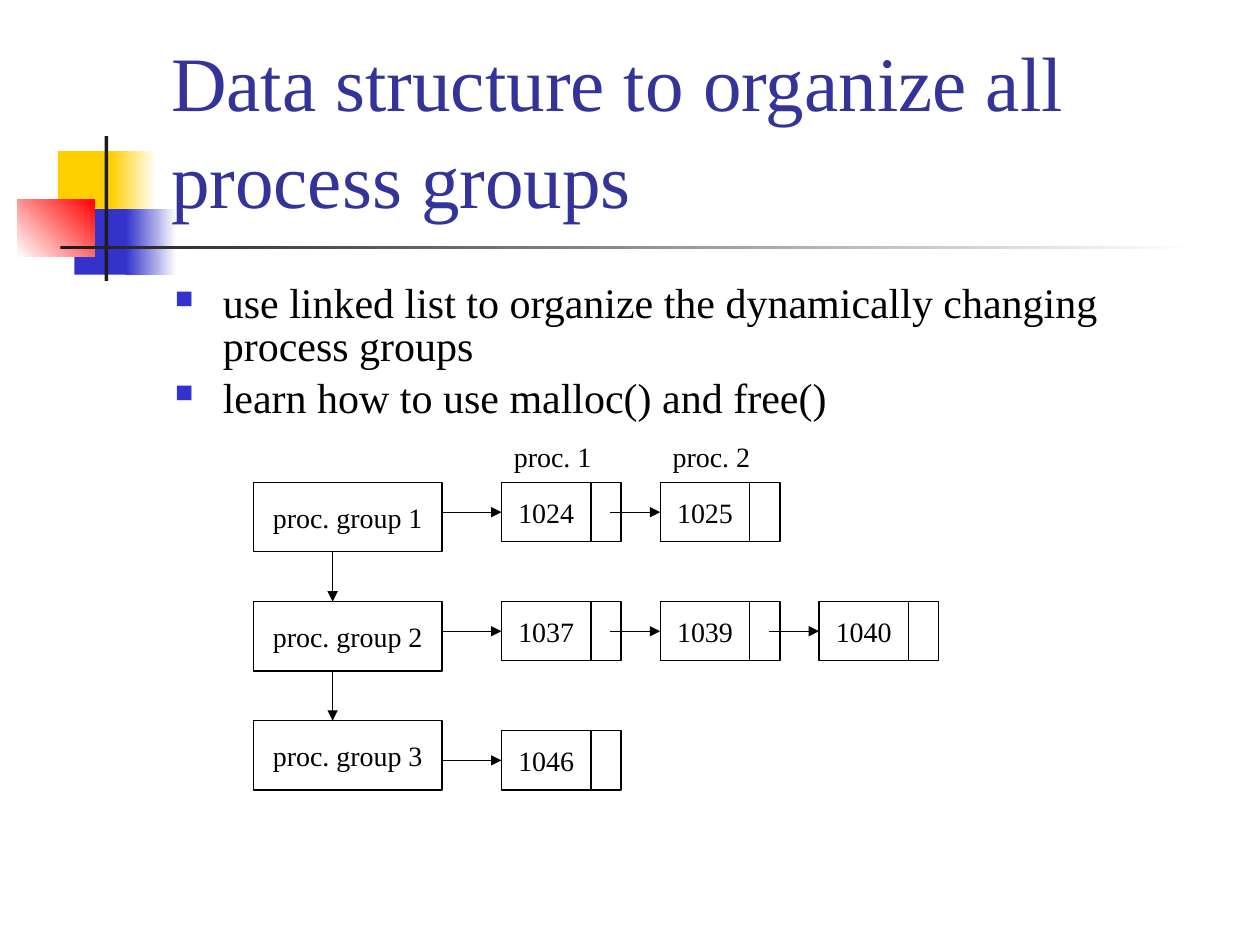
from pptx import Presentation
from pptx import util as u
from pptx.dml.color import RGBColor
from pptx.enum import shapes, text
from pptx.oxml import parse_xml
from pptx.oxml.ns import nsdecls, qn

COLORS = {
    "white": "FFFFFF", "black": "000000", "charcoal": "1C1C1C",
    "yellow": "FFCF01", "blue": "3333CC", "red": "FF0000", "title": "333399",
}
FONT = "Times New Roman"
GROUP_WIDTH, GROUP_HEIGHT = 1.5, 0.55
VALUE_WIDTH, LINK_WIDTH, NODE_HEIGHT = 0.71, 0.24, 0.47
NODE_OFFSET, NODE_PITCH, ROW_PITCH = 1.97, 1.26, 0.945


def rgb(name):
    return RGBColor.from_string(COLORS[name])


def write_text(shape, lines, size=16, color="black", align=text.PP_ALIGN.LEFT,
               anchor=text.MSO_ANCHOR.TOP, wrap=False, spacing=None, before=0, bullet=False):
    frame = shape.text_frame
    frame.word_wrap = wrap
    frame.vertical_anchor = anchor
    for index, line in enumerate(lines):
        paragraph = frame.paragraphs[0] if index == 0 else frame.add_paragraph()
        paragraph.alignment = align
        paragraph.line_spacing = spacing
        paragraph.space_before = u.Pt(before)
        run = paragraph.add_run()
        run.text = line
        run.font.name = FONT
        run.font.size = u.Pt(size)
        run.font.color.rgb = rgb(color)
        if bullet:
            add_bullet(paragraph)


def add_bullet(paragraph):
    properties = paragraph._p.get_or_add_pPr()
    properties.set("marL", str(u.Inches(0.38)))
    properties.set("indent", str(u.Inches(-0.38)))
    for markup in (
        f'<a:buClr {nsdecls("a")}><a:srgbClr val="{COLORS["blue"]}"/></a:buClr>',
        f'<a:buSzPct {nsdecls("a")} val="60000"/>',
        f'<a:buChar {nsdecls("a")} char="\u25a0"/>',
    ):
        properties.append(parse_xml(markup))


def add_text_box(slide, left, top, width, height, lines, **text_format):
    shape = slide.shapes.add_textbox(*map(u.Inches, (left, top, width, height)))
    write_text(shape, lines, **text_format)


def add_rectangle(slide, left, top, width, height):
    shape = slide.shapes.add_shape(
        shapes.MSO_SHAPE.RECTANGLE, *map(u.Inches, (left, top, width, height)))
    shape.shadow.inherit = False
    return shape


def add_block(slide, left, top, width, height, start, end=None, angle=0):
    shape = add_rectangle(slide, left, top, width, height)
    shape.line.fill.background()
    if end is None:
        shape.fill.solid()
        shape.fill.fore_color.rgb = rgb(start)
        return
    shape.fill.gradient()
    shape.fill.gradient_angle = angle
    for stop, position, color in zip(shape.fill.gradient_stops, (0, 1), (start, end)):
        stop.position = position
        stop.color.rgb = rgb(color)


def add_cell(slide, left, top, width, height, label=None):
    shape = add_rectangle(slide, left, top, width, height)
    shape.fill.background()
    shape.line.color.rgb = rgb("black")
    shape.line.width = u.Pt(0.75)
    if label:
        write_text(shape, [label], align=text.PP_ALIGN.CENTER, anchor=text.MSO_ANCHOR.MIDDLE)


def add_arrow(slide, start_x, start_y, end_x, end_y):
    connector = slide.shapes.add_connector(
        shapes.MSO_CONNECTOR.STRAIGHT, *map(u.Inches, (start_x, start_y, end_x, end_y)))
    connector.line.color.rgb = rgb("black")
    connector.line.width = u.Pt(0.75)
    properties = connector._element.spPr
    properties.find(qn("a:ln")).append(
        parse_xml(f'<a:tailEnd {nsdecls("a")} type="triangle"/>'))
    properties.append(parse_xml(f'<a:effectLst {nsdecls("a")}/>'))


def add_decoration(slide, left, top):
    for x, y, width, height, *paint in (
        (0.32, 0.12, 0.48, 0.52, "yellow"),
        (0.74, 0.12, 0.36, 0.52, "yellow", "white"),
        (0.45, 0.58, 0.46, 0.52, "blue"),
        (0.86, 0.58, 0.4, 0.52, "blue", "white"),
        (0, 0.5, 0.61, 0.46, "white", "red", 45),
        (0.69, 0, 0.03, 1.15, "charcoal"),
        (0.34, 0.87, 9, 0.03, "charcoal", "white"),
    ):
        add_block(slide, left + x, top + y, width, height, *paint)


def add_process_row(slide, left, top, group, processes, node_drop=0):
    add_cell(slide, left, top, GROUP_WIDTH, GROUP_HEIGHT, group)
    node_top = top + node_drop
    middle = node_top + NODE_HEIGHT / 2
    arrow_start = left + GROUP_WIDTH
    for index, process in enumerate(processes):
        node_left = left + NODE_OFFSET + index * NODE_PITCH
        link_left = node_left + VALUE_WIDTH
        add_cell(slide, node_left, node_top, VALUE_WIDTH, NODE_HEIGHT, process)
        add_cell(slide, link_left, node_top, LINK_WIDTH, NODE_HEIGHT)
        add_arrow(slide, arrow_start, middle, node_left, middle)
        arrow_start = link_left + 0.15


def add_process_lists(slide, left, top):
    rows = (
        ("proc. group 1", ("1024", "1025"), 0),
        ("proc. group 2", ("1037", "1039", "1040"), 0),
        ("proc. group 3", ("1046",), 0.08),
    )
    for index, row in enumerate(rows):
        row_top = top + index * ROW_PITCH
        add_process_row(slide, left, row_top, *row)
        if index:
            add_arrow(slide, left + 0.63, row_top - ROW_PITCH + GROUP_HEIGHT,
                      left + 0.63, row_top)
    for index, heading in enumerate(("proc. 1", "proc. 2")):
        add_text_box(slide, left + NODE_OFFSET + index * NODE_PITCH, top - 0.39,
                     0.82, 0.37, [heading])


def build_slide(presentation):
    slide = presentation.slides.add_slide(presentation.slide_layouts[6])
    slide.background.fill.solid()
    slide.background.fill.fore_color.rgb = rgb("white")
    add_decoration(slide, 0.14, 1.08)
    add_text_box(slide, 1.26, 0.23, 8.52, 1.6,
                 ["Data structure to organize all process groups"], size=44, color="title",
                 anchor=text.MSO_ANCHOR.BOTTOM, wrap=True, spacing=1.05)
    add_text_box(slide, 1.29, 2.21, 8.5, 1.15,
                 ["use linked list to organize the dynamically changing process groups",
                  "learn how to use malloc() and free()"],
                 size=24, wrap=True, spacing=0.85, before=4.8, bullet=True)
    add_process_lists(slide, 2.01, 3.83)


presentation = Presentation()
presentation.slide_width = u.Inches(10)
presentation.slide_height = u.Inches(7.5)
build_slide(presentation)
presentation.save("out.pptx")
